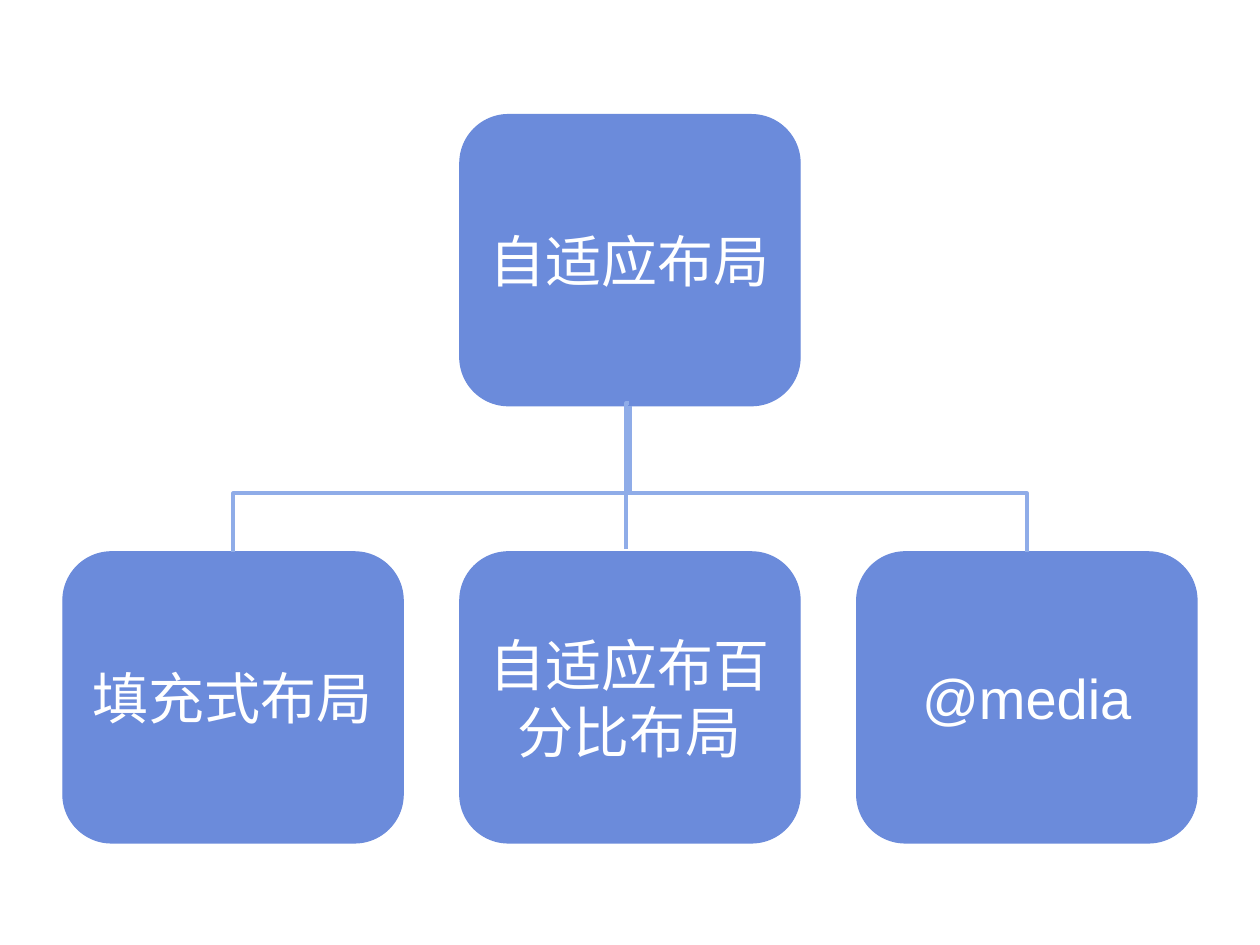
from pptx import Presentation
from pptx.dml.color import RGBColor
from pptx.enum import shapes, text
from pptx.oxml.ns import qn
from pptx.util import Inches, Pt
from lxml import etree

# Content
ROOT = "自适应布局"
LEAVES = ["填充式布局", "自适应布百分比布局", "@media"]

THEME = dict(font="Arial", size=32, ink="FFFFFF", box="6B8BDB",
             link="8FACE8", edge=0.75, rule=2.25)

# Grid, in inches
WIDE, HIGH = 10, 7.5
BOX_W, BOX_H, GAP = 2.7, 2.31, 0.45
ROOT_Y, LEAF_Y = 0.91, 4.38
LEFT = (WIDE - len(LEAVES) * BOX_W - (len(LEAVES) - 1) * GAP) / 2
MID = WIDE / 2

deck = Presentation()
deck.slide_width, deck.slide_height = Inches(WIDE), Inches(HIGH)
slide = deck.slides.add_slide(deck.slide_layouts[6])


def color(name):
    return RGBColor.from_string(THEME[name])


def write(frame, words, size=THEME["size"], ink="ink",
          align=text.PP_ALIGN.CENTER):
    frame.word_wrap = True
    frame.vertical_anchor = text.MSO_ANCHOR.MIDDLE
    para = frame.paragraphs[0]
    para.alignment = align
    run = para.add_run()
    run.text = words
    run.font.name, run.font.size = THEME["font"], Pt(size)
    run.font.color.rgb = color(ink)


def add_box(words, x, y):
    box = slide.shapes.add_shape(
        shapes.MSO_SHAPE.ROUNDED_RECTANGLE,
        Inches(x), Inches(y), Inches(BOX_W), Inches(BOX_H))
    box.shadow.inherit = False
    box.adjustments[0] = 0.167
    box.fill.solid()
    box.fill.fore_color.rgb = color("box")
    box.line.color.rgb = color("box")
    box.line.width = Pt(THEME["edge"])
    write(box.text_frame, words)


def add_link(x1, y1, x2, y2, bend=None):
    """Elbow that leaves (x1, y1) upward, drawn sideways and then turned."""
    cx, cy = (x1 + x2) / 2, (y1 + y2) / 2
    side = 1 if x1 < x2 else -1
    dx, dy = side * (y1 - y2) / 2, abs(x2 - x1) / 2
    link = slide.shapes.add_connector(
        shapes.MSO_CONNECTOR.ELBOW, Inches(cx + dx), Inches(cy + dy),
        Inches(cx - dx), Inches(cy - dy))
    link.line.color.rgb = color("link")
    link.line.width = Pt(THEME["rule"])
    props = link._element.spPr
    props.find(qn("a:xfrm")).set("rot", str((90 if side > 0 else 270) * 60000))
    etree.SubElement(props, qn("a:effectLst"))
    geom = props.find(qn("a:prstGeom"))
    if bend is None:
        geom.set("prst", "bentConnector2")
    else:
        guide = etree.SubElement(geom.find(qn("a:avLst")), qn("a:gd"))
        guide.set("name", "adj1")
        guide.set("fmla", f"val {round(bend * 100000)}")


# Root, then each leaf with its link
add_box(ROOT, MID - BOX_W / 2, ROOT_Y)
for i, words in enumerate(LEAVES):
    x = LEFT + i * (BOX_W + GAP)
    add_box(words, x, LEAF_Y)
    if i == len(LEAVES) // 2:
        add_link(4.97, 4.36, 4.99, 3.2)
    else:
        add_link(x + BOX_W / 2, LEAF_Y, MID, ROOT_Y + BOX_H, bend=0.4)

deck.save("out.pptx")
